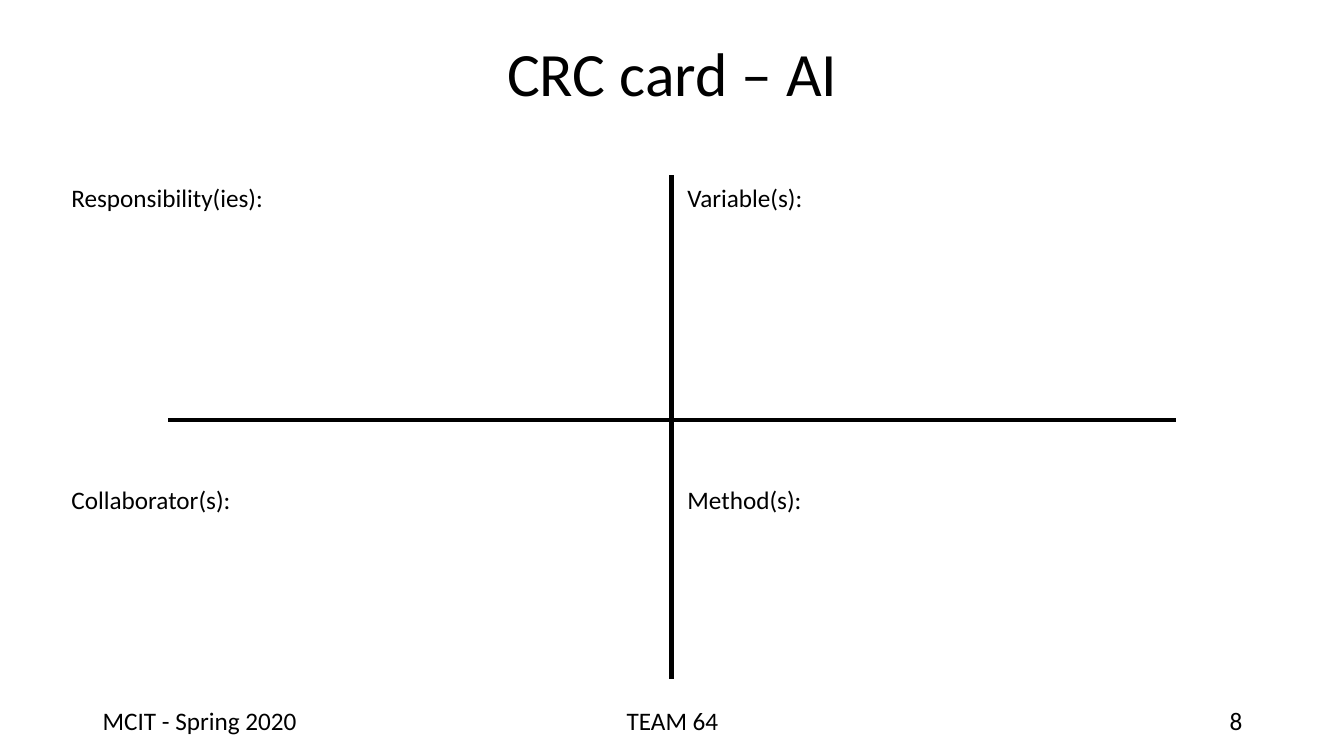
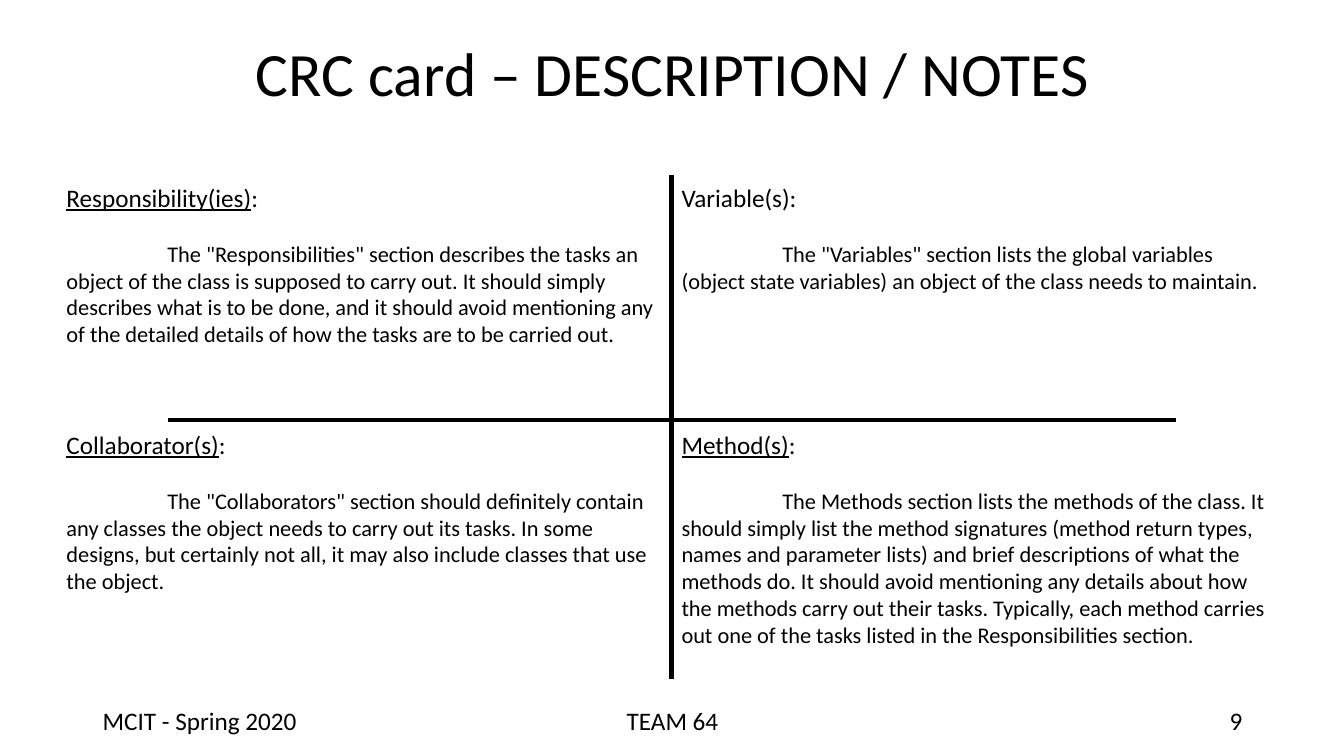
from lxml import etree
from pptx import Presentation
from pptx.dml.color import RGBColor
from pptx.enum.shapes import MSO_CONNECTOR
from pptx.enum.text import MSO_ANCHOR, PP_ALIGN
from pptx.oxml.ns import qn
from pptx.util import Inches, Pt

COLORS = {"ink": "000000"}
FONT = "Calibri"
INK = RGBColor.from_string(COLORS["ink"])

deck = Presentation()
deck.slide_width, deck.slide_height = Inches(13.33), Inches(7.5)


def add_text(page, left, top, width, height, text, size=18, align=PP_ALIGN.LEFT):
    box = page.shapes.add_textbox(Inches(left), Inches(top), Inches(width), Inches(height))
    box.text_frame.word_wrap = True
    para = box.text_frame.paragraphs[0]
    para.alignment = align
    style_paragraph(para, size)
    para.add_run().text = text
    return box.text_frame


def style_paragraph(para, size):
    para.font.name = FONT
    para.font.size = Pt(size)
    para.font.color.rgb = INK


# Card contents: heading, underlined or not, description
blank_card = [
    ("Responsibility(ies)", False, ""),
    ("Variable(s)", False, ""),
    ("Collaborator(s)", False, ""),
    ("Method(s)", False, ""),
]
notes_card = [
    ("Responsibility(ies)", True,
     'The "Responsibilities" section describes the tasks an object of the class is supposed '
     "to carry out. It should simply describes what is to be done, and it should avoid "
     "mentioning any of the detailed details of how the tasks are to be carried out."),
    ("Variable(s)", False,
     'The "Variables" section lists the global variables (object state variables) an object '
     "of the class needs to maintain."),
    ("Collaborator(s)", True,
     'The "Collaborators" section should definitely contain any classes the object needs to '
     "carry out its tasks. In some designs, but certainly not all, it may also include "
     "classes that use the object."),
    ("Method(s)", True,
     "The Methods section lists the methods of the class. It should simply list the method "
     "signatures (method return types, names and parameter lists) and brief descriptions of "
     "what the methods do. It should avoid mentioning any details about how the methods "
     "carry out their tasks. Typically, each method carries out one of the tasks listed in "
     "the Responsibilities section."),
]

# Title, page number, sections, column lefts, row tops, side inset
cards = [
    ("CRC card – AI", 8, blank_card, (0.61, 6.72), (1.76, 4.76), 0.1),
    ("CRC card – DESCRIPTION / NOTES", 9, notes_card, (0.61, 6.71), (1.76, 4.21), 0.05),
]

for title, number, sections, lefts, tops, inset in cards:
    page = deck.slides.add_slide(deck.slide_layouts[6])

    # Title
    frame = add_text(page, 0.92, 0.03, 11.5, 1.45, title, 44, PP_ALIGN.CENTER)
    frame.vertical_anchor = MSO_ANCHOR.MIDDLE
    frame.paragraphs[0].line_spacing = 0.9

    # Cross that divides the card
    for ends in ((6.66, 1.74, 6.66, 6.74), (1.67, 4.17, 11.66, 4.17)):
        divider = page.shapes.add_connector(MSO_CONNECTOR.STRAIGHT, *map(Inches, ends))
        divider.line.color.rgb = INK
        divider.line.width = Pt(3)
        etree.SubElement(divider._element.spPr, qn("a:effectLst"))

    # Four sections, row by row
    for index, (heading, underlined, description) in enumerate(sections):
        row, column = divmod(index, 2)
        frame = add_text(page, lefts[column], tops[row], 6, 2.5, heading)
        frame.margin_left = frame.margin_right = Inches(inset)
        frame.margin_top = frame.margin_bottom = Inches(0.05)
        para = frame.paragraphs[0]
        if underlined:
            para.runs[0].font.underline = True
        para.add_run().text = ":"
        if description:
            para = frame.add_paragraph()
            para.text = description
            style_paragraph(para, 16)
            para.space_before = Pt(19.5)
            para._p.get_or_add_pPr().set("indent", str(Inches(1)))

    # Footer
    for left, width, text, align in (
        (0.92, 3, "MCIT - Spring 2020", PP_ALIGN.LEFT),
        (4.42, 4.5, "TEAM 64", PP_ALIGN.CENTER),
        (9.42, 3, str(number), PP_ALIGN.RIGHT),
    ):
        add_text(page, left, 6.95, width, 0.4, text, align=align)

deck.save("out.pptx")
